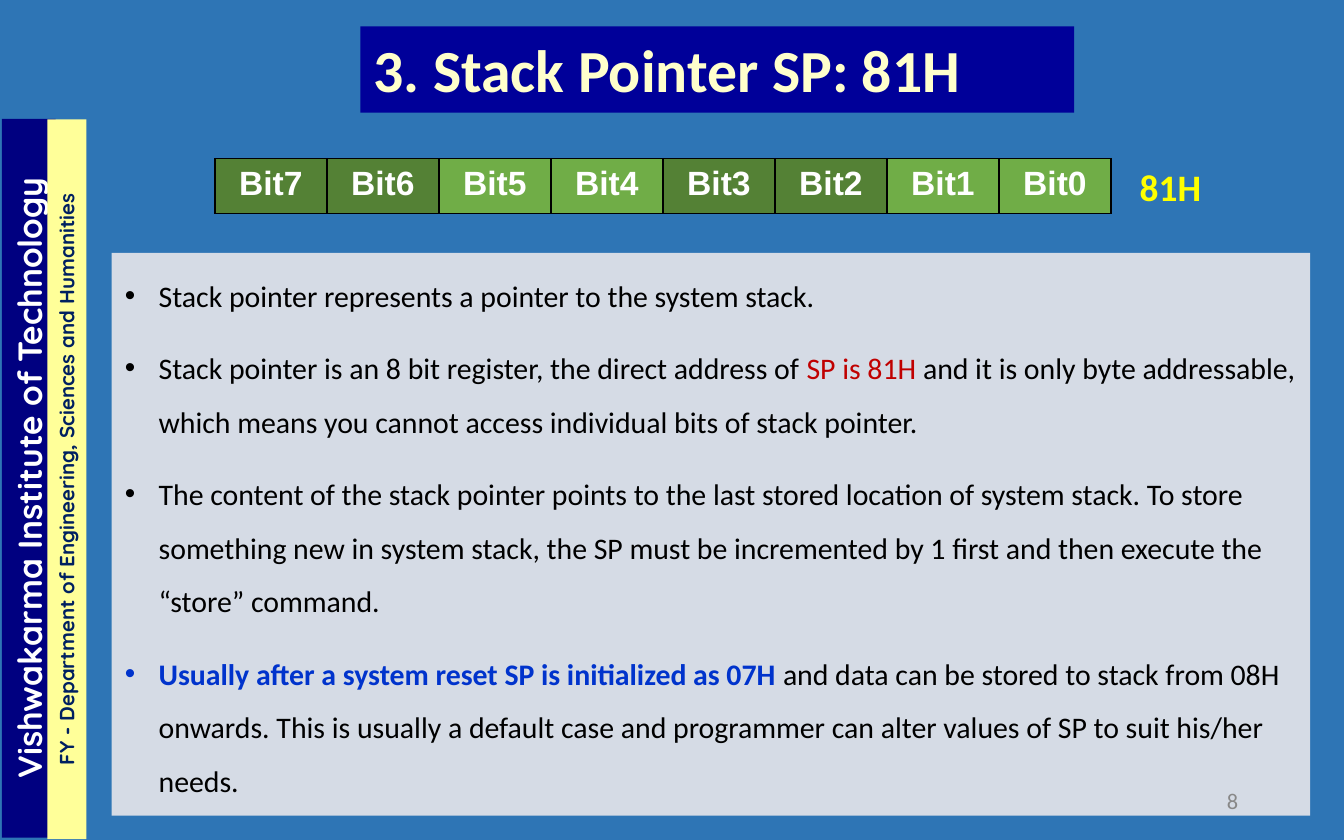
from lxml.etree import SubElement
from pptx import Presentation
from pptx.dml.color import RGBColor
from pptx.enum.shapes import MSO_SHAPE
from pptx.enum.text import MSO_ANCHOR, PP_ALIGN
from pptx.oxml.ns import qn
from pptx.util import Cm, Pt

SKY = RGBColor(0x2E, 0x75, 0xB5)
PANEL = RGBColor(0xD5, 0xDB, 0xE5)
NAVY = RGBColor(0x00, 0x00, 0x80)
TITLE_BLUE = RGBColor(0x00, 0x00, 0x99)
PALE_YELLOW = RGBColor(0xFF, 0xFF, 0x99)
CREAM = RGBColor(0xFF, 0xFF, 0xCC)
YELLOW = RGBColor(0xFF, 0xFF, 0x00)
INK = RGBColor(0x00, 0x20, 0x60)
GREY = RGBColor(0x88, 0x88, 0x88)
BLACK = RGBColor(0x00, 0x00, 0x00)
WHITE = RGBColor(0xFF, 0xFF, 0xFF)
RED = RGBColor(0xC0, 0x00, 0x00)
BLUE = RGBColor(0x00, 0x33, 0xCC)
DARK_GREEN = RGBColor(0x54, 0x81, 0x35)
GREEN = RGBColor(0x70, 0xAD, 0x47)


def add_span(para, text, size, color, bold=False, font="Calibri"):
    span = para.add_run()
    span.text = text
    span.font.name = font
    span.font.size = Pt(size)
    span.font.bold = bold
    span.font.color.rgb = color


def add_panel(page, left, top, width, height, fill, align):
    box = page.shapes.add_shape(
        MSO_SHAPE.RECTANGLE, Cm(left), Cm(top), Cm(width), Cm(height))
    box.shadow.inherit = False
    box.fill.solid()
    box.fill.fore_color.rgb = fill
    box.line.fill.background()
    box.text_frame.word_wrap = True
    box.text_frame.vertical_anchor = MSO_ANCHOR.TOP
    box.text_frame.paragraphs[0].alignment = align
    return box


deck = Presentation()
deck.slide_width = Cm(25.4)
deck.slide_height = Cm(15.88)
page = deck.slides.add_slide(deck.slide_layouts[6])
page.background.fill.solid()
page.background.fill.fore_color.rgb = SKY

bullets = [
    [("Stack pointer represents a pointer to the system stack.", BLACK, False)],
    [("Stack pointer is an 8 bit register, the direct address of ", BLACK, False),
     ("SP is 81H ", RED, False),
     ("and it is only byte addressable, which means you cannot access "
      "individual bits of stack pointer.", BLACK, False)],
    [("The content of the stack pointer points to the last stored location of "
      "system stack. To store something new in system stack, the SP must be "
      "incremented by 1 first and then execute the “store” command.", BLACK, False)],
    [("Usually after a system reset SP is initialized as 07H ", BLUE, True),
     ("and data can be stored to stack from 08H onwards. This is usually a "
      "default case and programmer can alter values of SP to suit his/her needs.",
      BLACK, False)],
]
body = add_panel(page, 2.11, 4.78, 22.65, 10.64, PANEL, PP_ALIGN.LEFT).text_frame
for index, parts in enumerate(bullets):
    para = body.add_paragraph() if index else body.paragraphs[0]
    para.alignment = PP_ALIGN.LEFT
    para.line_spacing = 1.5
    para.space_before = Pt(10 if index else 0)
    props = para._p.get_or_add_pPr()
    props.set("marL", str(Cm(0.64)))
    props.set("indent", str(-Cm(0.64)))
    bullet_color = SubElement(props, qn("a:buClr"))
    SubElement(bullet_color, qn("a:srgbClr"), val=str(parts[0][1]))
    SubElement(props, qn("a:buFont"), typeface="Arial")
    SubElement(props, qn("a:buChar"), char="•")
    for text, color, bold in parts:
        add_span(para, text, 16, color, bold)

side_bars = [
    (-6.25, 8.53, 13.59, 1.02, NAVY,
     "Vishwakarma Institute of Technology", 18, WHITE),
    (-5.54, 8.69, 13.61, 0.74, PALE_YELLOW,
     "FY - Department of Engineering, Sciences and Humanities", 11, INK),
]
for left, top, width, height, fill, text, size, color in side_bars:
    bar = add_panel(page, left, top, width, height, fill, PP_ALIGN.CENTER)
    bar.rotation = 270
    add_span(bar.text_frame.paragraphs[0], text, size, color, True, "Quicksand")

number = page.shapes.add_textbox(Cm(17.93), Cm(14.71), Cm(5.72), Cm(0.84)).text_frame
number.word_wrap = True
number.vertical_anchor = MSO_ANCHOR.MIDDLE
number.paragraphs[0].alignment = PP_ALIGN.RIGHT
add_span(number.paragraphs[0], "8", 12, GREY)

title = add_panel(page, 6.81, 0.5, 13.49, 1.63, TITLE_BLUE, PP_ALIGN.LEFT)
add_span(title.text_frame.paragraphs[0], "3. Stack Pointer SP: 81H", 32, CREAM, True)

address = page.shapes.add_textbox(Cm(21.29), Cm(2.97), Cm(1.68), Cm(1.12)).text_frame
address.word_wrap = False
add_span(address.paragraphs[0], "81H", 20, YELLOW, True)

register = page.shapes.add_table(1, 8, Cm(4.06), Cm(3), Cm(16.94), Cm(1.04)).table
register.first_row = False
register.horz_banding = False
for column, cell in enumerate(register.rows[0].cells):
    props = cell._tc.get_or_add_tcPr()
    for side in ("a:lnL", "a:lnR", "a:lnT", "a:lnB"):
        border = SubElement(props, qn(side), w=str(Pt(1)))
        border_fill = SubElement(border, qn("a:solidFill"))
        SubElement(border_fill, qn("a:srgbClr"), val=str(BLACK))
    cell.fill.solid()
    cell.fill.fore_color.rgb = GREEN if column // 2 % 2 else DARK_GREEN
    para = cell.text_frame.paragraphs[0]
    para.alignment = PP_ALIGN.CENTER
    add_span(para, f"Bit{7 - column}", 18, WHITE, True, "Arial")

deck.save("out.pptx")
